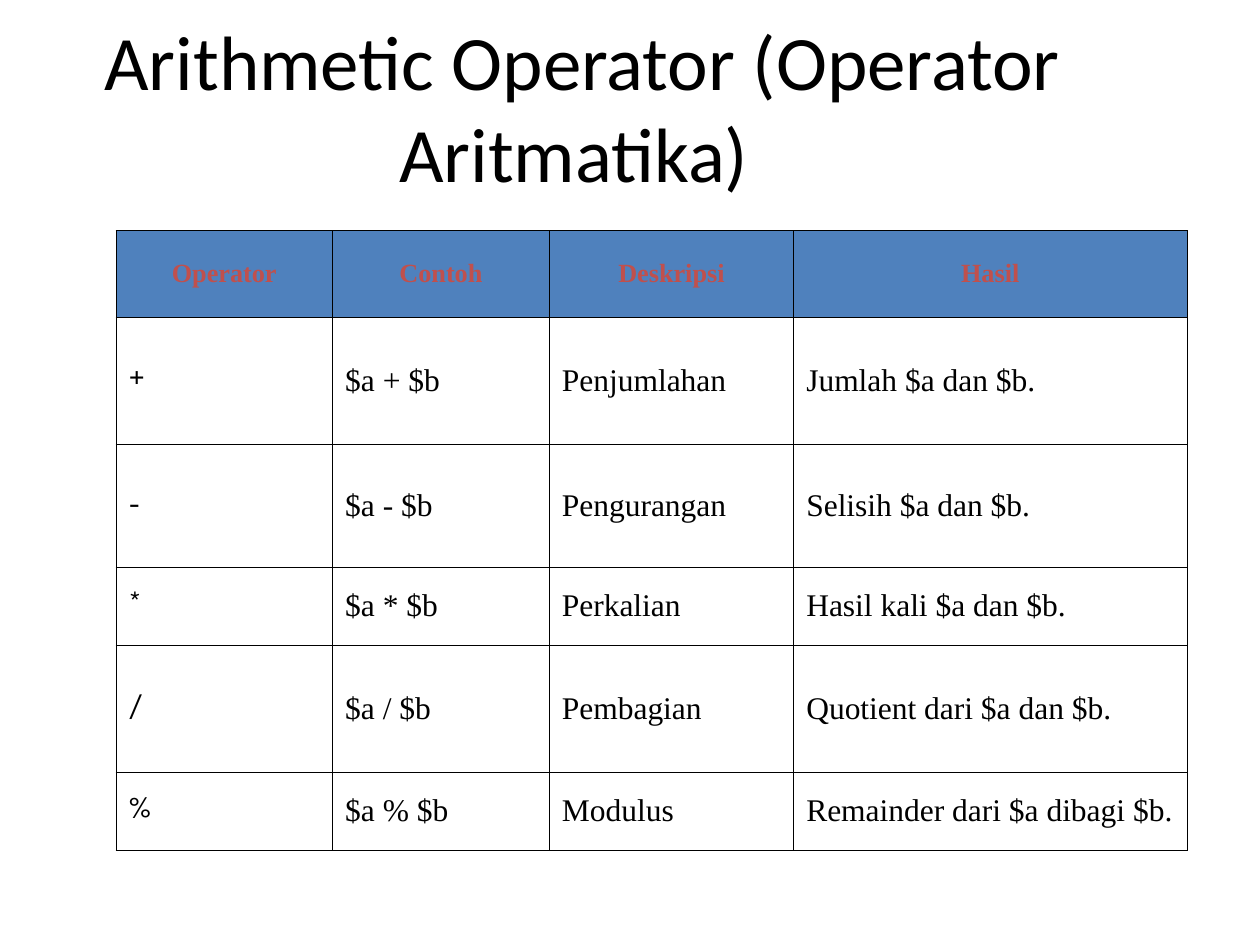
import pptx
import pptx.dml.color
import pptx.enum.text
import pptx.oxml.ns
import pptx.util
from lxml import etree

Inches, Pt = pptx.util.Inches, pptx.util.Pt
ALIGN = pptx.enum.text.PP_ALIGN
MIDDLE = pptx.enum.text.MSO_ANCHOR.MIDDLE

COLORS = {"text": "000000", "border": "000000", "header": "4F81BD", "header_text": "C0504D"}
SERIF, SYMBOL = "Times New Roman", "League Spartan"
COL_WIDTHS = [1.72, 1.72, 1.94, 3.12]
ROW_HEIGHTS = [0.69, 1.01, 0.97, 0.62, 1.01, 0.62]
HEADERS = ["Operator", "Contoh", "Deskripsi", "Hasil"]
OPERATIONS = [
    ("+", "Penjumlahan", "Jumlah $a dan $b."),
    ("-", "Pengurangan", "Selisih $a dan $b."),
    ("*", "Perkalian", "Hasil kali $a dan $b."),
    ("/", "Pembagian", "Quotient dari $a dan $b."),
    ("%", "Modulus", "Remainder dari $a dibagi $b."),
]


def rgb(name):
    return pptx.dml.color.RGBColor.from_string(COLORS[name])


def write(tf, text, font=SERIF, size=18, color="text", bold=False, align=ALIGN.LEFT, hanging=0):
    """Put one formatted paragraph in a text frame; hanging is the indent in inches."""
    tf.word_wrap = True
    p = tf.paragraphs[0]
    p.alignment = align
    if hanging:
        pPr = p._p.get_or_add_pPr()
        pPr.set("marL", str(Inches(hanging)))
        pPr.set("indent", str(-Inches(hanging)))
    r = p.add_run()
    r.text = text
    r.font.name, r.font.size, r.font.bold = font, Pt(size), bold
    r.font.color.rgb = rgb(color)


def add_borders(cell, width=0.34):
    tcPr = cell._tc.get_or_add_tcPr()
    qn = pptx.oxml.ns.qn
    for side in ("lnL", "lnR", "lnT", "lnB"):
        ln = etree.SubElement(tcPr, qn("a:" + side), w=str(Pt(width)))
        fill = etree.SubElement(ln, qn("a:solidFill"))
        etree.SubElement(fill, qn("a:srgbClr"), val=COLORS["border"])


def place_title(s, left, top, width, height):
    title = s.shapes.title
    title.left, title.top = Inches(left), Inches(top)
    title.width, title.height = Inches(width), Inches(height)
    title.text_frame.vertical_anchor = MIDDLE
    write(title.text_frame, "Arithmetic Operator (Operator Aritmatika) ",
          font="Calibri", size=44, align=ALIGN.CENTER)


def add_operator_table(s, left, top):
    rows = [HEADERS] + [(op, f"$a {op} $b", name, result) for op, name, result in OPERATIONS]
    table = s.shapes.add_table(len(rows), len(HEADERS), Inches(left), Inches(top),
                               Inches(sum(COL_WIDTHS)), Inches(sum(ROW_HEIGHTS))).table
    table.first_row = table.horz_banding = False
    for column, width in zip(table.columns, COL_WIDTHS):
        column.width = Inches(width)
    for i, (row, height) in enumerate(zip(table.rows, ROW_HEIGHTS)):
        row.height = Inches(height)
        for j, cell in enumerate(row.cells):
            cell.vertical_anchor = MIDDLE
            add_borders(cell)
            if i == 0:
                cell.fill.solid()
                cell.fill.fore_color.rgb = rgb("header")
                style = dict(size=15, color="header_text", bold=True, align=ALIGN.CENTER)
            else:
                cell.fill.background()
                style = dict(font=SYMBOL if j == 0 else SERIF)
            write(cell.text_frame, rows[i][j], hanging=0.38, **style)


def main():
    prs = pptx.Presentation()
    prs.slide_width, prs.slide_height = Inches(10), Inches(7.5)
    s = prs.slides.add_slide(prs.slide_layouts[5])
    place_title(s, 0.5, 0.13, 8.25, 1.42)
    add_operator_table(s, 0.92, 1.83)
    prs.save("out.pptx")


if __name__ == "__main__":
    main()
